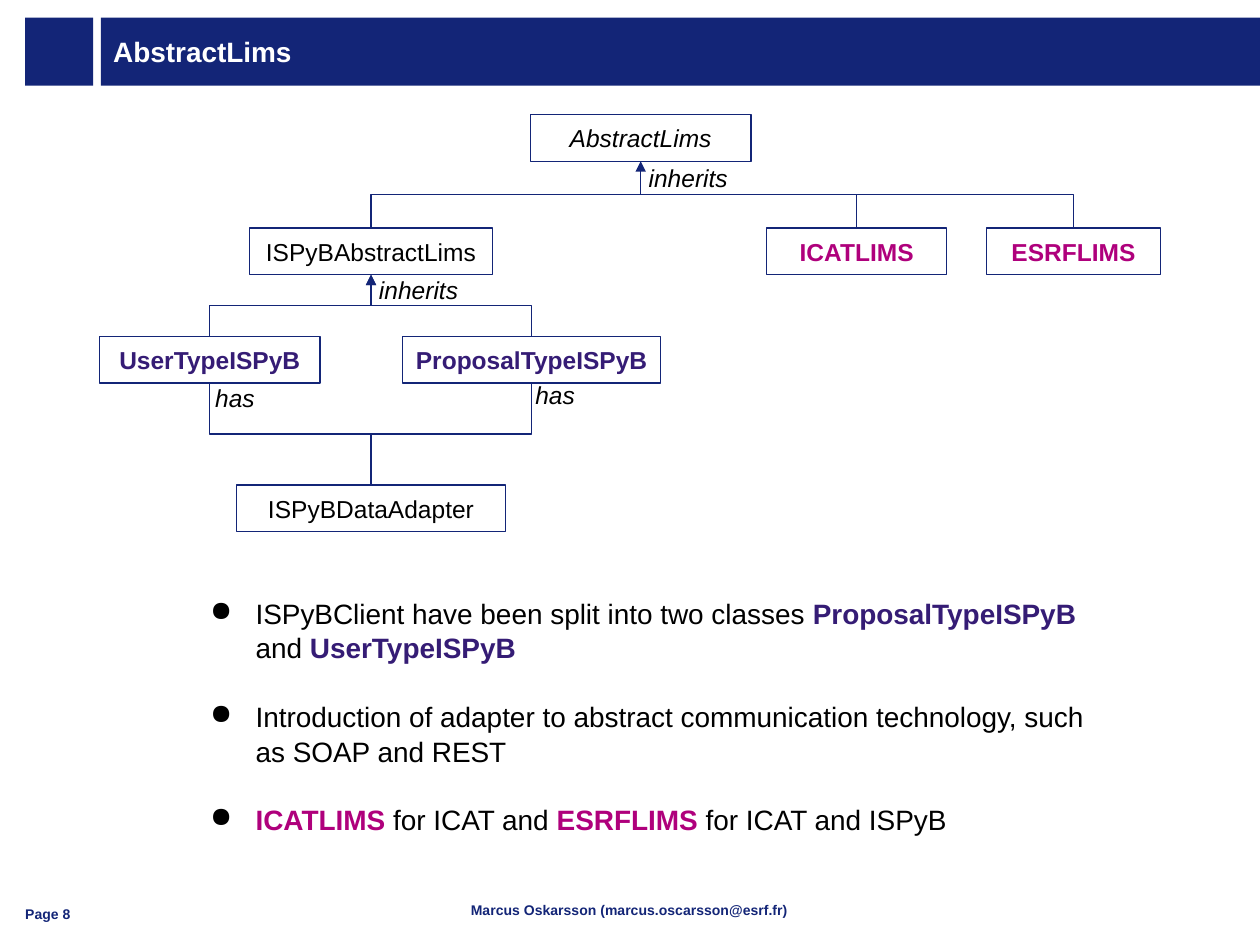
from lxml.etree import SubElement
from pptx import Presentation
from pptx.dml.color import RGBColor as RGB
from pptx.enum.shapes import MSO_CONNECTOR as CONN, MSO_SHAPE as SHAPE
from pptx.enum.text import MSO_ANCHOR as ANCHOR, PP_ALIGN as ALIGN
from pptx.oxml.ns import qn
from pptx.util import Inches, Pt

C = {"navy": "132577", "white": "FFFFFF", "black": "000000",
     "purple": "351C75", "magenta": "AF007C"}
PLAIN = {"size": Pt(14), "name": "Arial", "bold": False, "italic": False}
ITALIC = PLAIN | {"italic": True}
BOLD = PLAIN | {"bold": True}
TITLE = BOLD | {"size": Pt(16)}
BODY = PLAIN | {"size": Pt(16)}
FOOT = BOLD | {"size": Pt(8)}

prs = Presentation()
prs.slide_width, prs.slide_height = Inches(10), Inches(7.5)
COL, ROW = prs.slide_width / 100, prs.slide_height / 75
s = prs.slides.add_slide(prs.slide_layouts[6])


def add_box(x, y, w, h, fill=None, line=None, anchor=ANCHOR.TOP, inset=1):
    at = [int(v) for v in (x * COL, y * ROW, w * COL, h * ROW)]
    if fill:
        sp = s.shapes.add_shape(SHAPE.RECTANGLE, *at)
        sp.shadow.inherit = False
        sp.fill.solid()
        sp.fill.fore_color.rgb = RGB.from_string(C[fill])
        sp.line.fill.background()
        if line:
            sp.line.color.rgb = RGB.from_string(C[line])
            sp.line.width = Pt(0.75)
    else:
        sp = s.shapes.add_textbox(*at)
    tf = sp.text_frame
    tf.word_wrap, tf.vertical_anchor = True, anchor
    for side in ("left", "right", "top", "bottom"):
        setattr(tf, f"margin_{side}", int(inset * COL))
    return sp


def add_text(p, text, color, fmt, align=ALIGN.LEFT):
    p.alignment = align
    r = p.add_run()
    r.text = text
    for key, value in fmt.items():
        setattr(r.font, key, value)
    r.font.color.rgb = RGB.from_string(C[color])


add_box(2, 1.4, 5.4, 5.4, "navy")
sp = add_box(8, 1.4, 92, 5.4, "navy", anchor=ANCHOR.MIDDLE)
add_text(sp.text_frame.paragraphs[0], "AbstractLims", "white", TITLE)
sp = add_box(16, 70.9, 67.9, 3.3)
add_text(sp.text_frame.paragraphs[0], "Marcus Oskarsson (marcus.oscarsson@esrf.fr)",
         "navy", FOOT, ALIGN.CENTER)
sp = add_box(2, 70.9, 4.5, 2.3, anchor=ANCHOR.BOTTOM, inset=0)
add_text(sp.text_frame.paragraphs[0], "Page 8", "navy", FOOT)

BOX_H = 3.7
LEVELS = [9.1, 18.1, 26.7, 38.5]
nodes = {}
for name, center, level, width, color, fmt in [
    ("AbstractLims", 50.85, 0, 17.5, "black", ITALIC),
    ("ISPyBAbstractLims", 29.45, 1, 19.3, "black", PLAIN),
    ("ICATLIMS", 68, 1, 14.3, "magenta", BOLD),
    ("ESRFLIMS", 85.2, 1, 13.8, "magenta", BOLD),
    ("UserTypeISPyB", 16.65, 2, 17.5, "purple", BOLD),
    ("ProposalTypeISPyB", 42.2, 2, 20.5, "purple", BOLD),
    ("ISPyBDataAdapter", 29.45, 3, 21.4, "black", PLAIN),
]:
    sp = add_box(center - width / 2, LEVELS[level], width, BOX_H,
                 "white", "navy", ANCHOR.MIDDLE)
    add_text(sp.text_frame.paragraphs[0], name, color, fmt, ALIGN.CENTER)
    sp.text_frame.word_wrap = False
    nodes[name] = sp

TOP, BOTTOM = 0, 2
for start, start_site, end, end_site, arrow in [
    ("UserTypeISPyB", TOP, "ISPyBAbstractLims", BOTTOM, True),
    ("ProposalTypeISPyB", TOP, "ISPyBAbstractLims", BOTTOM, True),
    ("ISPyBAbstractLims", TOP, "AbstractLims", BOTTOM, True),
    ("AbstractLims", BOTTOM, "ICATLIMS", TOP, False),
    ("ESRFLIMS", TOP, "AbstractLims", BOTTOM, False),
    ("UserTypeISPyB", BOTTOM, "ISPyBDataAdapter", TOP, False),
    ("ProposalTypeISPyB", BOTTOM, "ISPyBDataAdapter", TOP, False),
]:
    cx = s.shapes.add_connector(CONN.ELBOW, 0, 0, 0, 0)
    cx.begin_connect(nodes[start], start_site)
    cx.end_connect(nodes[end], end_site)
    x1, y1, x2, y2 = cx.begin_x, cx.begin_y, cx.end_x, cx.end_y
    dx, dy = x2 - x1, y2 - y1
    cx.width, cx.height = abs(dy), abs(dx)
    cx.left = (x1 + x2 - abs(dy)) // 2
    cx.top = (y1 + y2 - abs(dx)) // 2
    xfrm = cx._element.spPr.find(qn("a:xfrm"))
    xfrm.set("rot", str((270 if dx > 0 else 90) * 60000))
    xfrm.set("flipH", str(int(dx * dy > 0)))
    xfrm.set("flipV", "0")
    cx.line.color.rgb = RGB.from_string(C["navy"])
    cx.line.width = Pt(0.75)
    if arrow:
        SubElement(cx.line._get_or_add_ln(), qn("a:tailEnd"), type="triangle")
    SubElement(cx._element.spPr, qn("a:effectLst"))

for text, x, y, w, h in [
    ("has", 16.1, 29.4, 8.2, 3.4),
    ("has", 41.5, 29.2, 8.2, 3.4),
    ("inherits", 29.1, 20.8, 10.7, 4.4),
    ("inherits", 50.5, 11.9, 10.7, 4.4),
]:
    sp = add_box(x, y, w, h)
    add_text(sp.text_frame.paragraphs[0], text, "black", ITALIC)

bullets = [
    [("ISPyBClient have been split into two classes ", "black"),
     ("ProposalTypeISPyB", "purple"), (" and ", "black"), ("UserTypeISPyB", "purple")],
    [("Introduction of adapter to abstract communication technology, "
      "such as SOAP and REST", "black")],
    [("ICATLIMS", "magenta"), (" for ICAT and ", "black"),
     ("ESRFLIMS", "magenta"), (" for ICAT and ISPyB", "black")],
]
tf = add_box(14.3, 42.9, 75.2, 23.2).text_frame
tf.margin_top = int(4.3 * ROW)
for i, runs in enumerate(bullets):
    p = tf.add_paragraph() if i else tf.paragraphs[0]
    pPr = p._p.get_or_add_pPr()
    pPr.set("marL", str(int(5 * COL)))
    pPr.set("indent", str(int(-3.6 * COL)))
    color = SubElement(pPr, qn("a:buClr"))
    SubElement(color, qn("a:srgbClr"), val=C["black"])
    SubElement(pPr, qn("a:buChar"), char="●")
    p.line_spacing = 1.04
    if i:
        p.space_before = Pt(19)
    for text, color in runs:
        add_text(p, text, color, BODY if color == "black" else TITLE)

prs.save("out.pptx")
